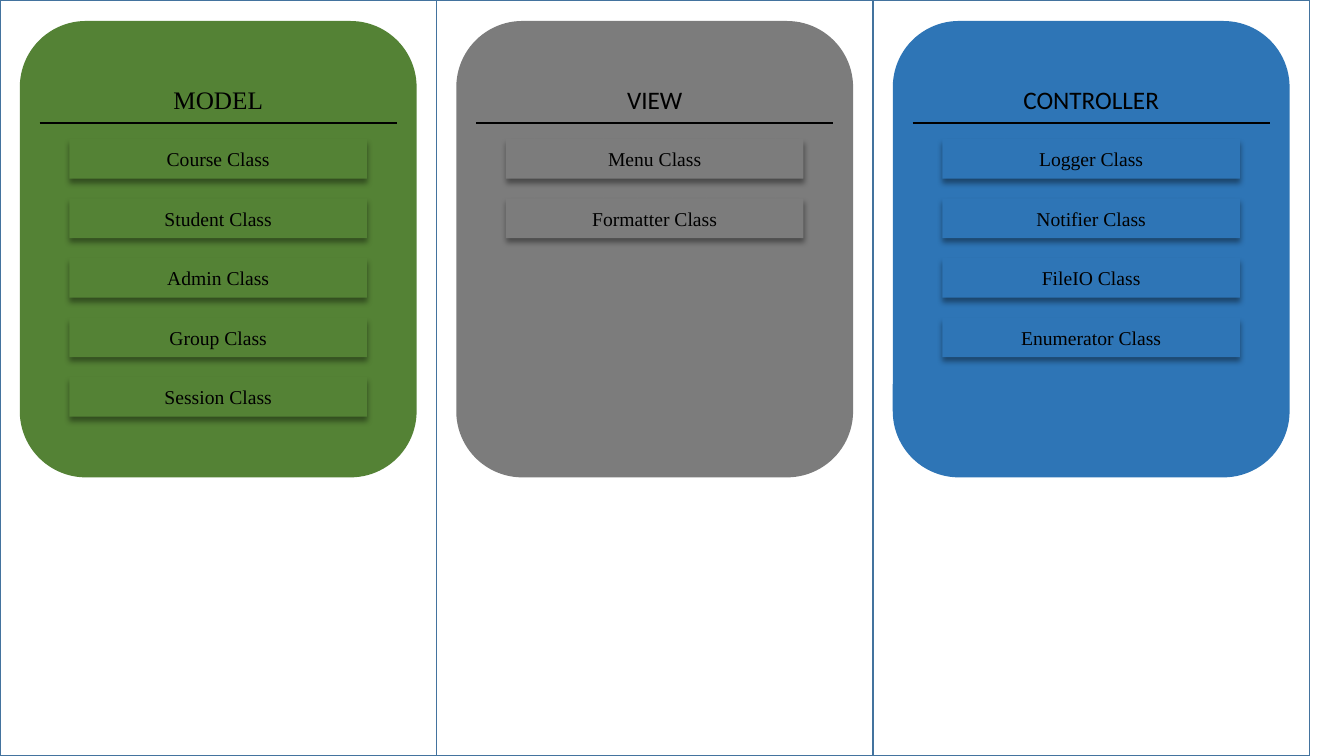
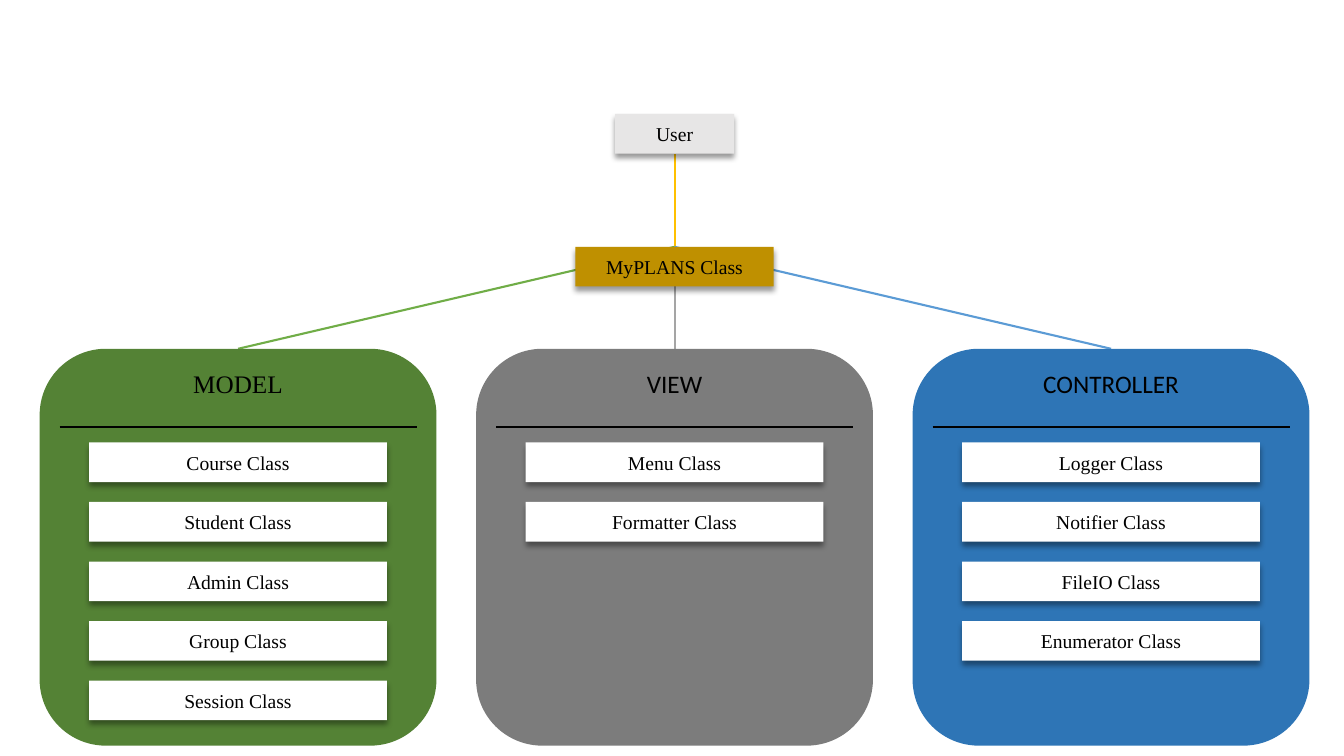
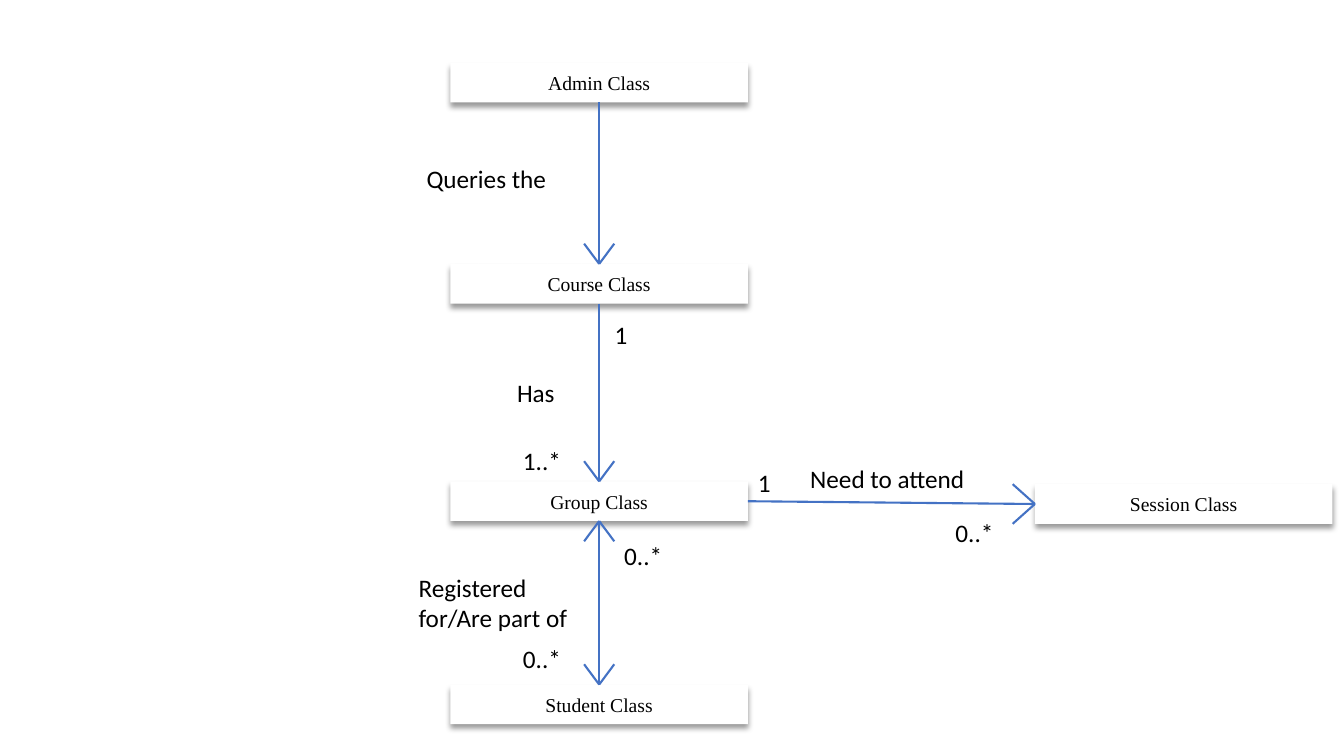
from pptx import Presentation
from pptx.dml.color import RGBColor
from pptx.enum.shapes import MSO_CONNECTOR as Link, MSO_SHAPE as Kind
from pptx.enum.text import MSO_ANCHOR as Anchor, MSO_AUTO_SIZE as Fit, PP_ALIGN as Align
from pptx.oxml.ns import qn
from pptx.util import Cm, Pt
from lxml.etree import SubElement

SERIF, SANS = "Times New Roman", "Calibri"
BLACK, WHITE, BLUE = "000000", "FFFFFF", "4472C4"
GREEN, GREY, NAVY = "548235", "7C7C7C", "2E75B6"
PITCH, TAG, HIGH, STEP = 11, 7.5, 1, 1.5
GROUPS = [
    ("MODEL", GREEN, SERIF, ["Course", "Student", "Admin", "Group", "Session"]),
    ("VIEW", GREY, SANS, ["Menu", "Formatter"]),
    ("CONTROLLER", NAVY, SANS, ["Logger", "Notifier", "FileIO", "Enumerator"]),
]


def tint(code):
    return RGBColor.from_string(code)


def put(item, values):
    for name, value in values.items():
        setattr(item, name, value)


class Deck:
    def __init__(self):
        self.show = Presentation()
        put(self.show, {"slide_width": Cm(33.87), "slide_height": Cm(19.05)})

    def page(self):
        self.slide = self.show.slides.add_slide(self.show.slide_layouts[6])

    def words(self, frame, text, size, font, align):
        put(frame, {"text": text, "word_wrap": True})
        para = frame.paragraphs[0]
        para.alignment = align
        face = para.runs[0].font
        put(face, {"size": Pt(size), "name": font})
        face.color.rgb = tint(BLACK)

    def shape(self, kind, x, y, w, h, fill=None, line=None):
        shape = self.slide.shapes.add_shape(kind, Cm(x), Cm(y), Cm(w), Cm(h))
        shape.shadow.inherit = False
        if fill:
            shape.fill.solid()
            shape.fill.fore_color.rgb = tint(fill)
        else:
            shape.fill.background()
        if line:
            shape.line.color.rgb = tint(line)
            shape.line.width = Pt(1)
        else:
            shape.line.fill.background()
        return shape

    def tag(self, text, x, y, w=TAG, fill=WHITE):
        shape = self.shape(Kind.RECTANGLE, x, y, w, HIGH, fill)
        shape.text_frame.vertical_anchor = Anchor.MIDDLE
        self.words(shape.text_frame, text, 14, SERIF, Align.CENTER)
        effect = shape._element.spPr.find(qn("a:effectLst"))
        shade = SubElement(effect, qn("a:outerShdw"), blurRad=str(Pt(4)),
                           dist=str(Pt(3)), dir="5400000", algn="t", rotWithShape="0")
        color = SubElement(shade, qn("a:srgbClr"), val=BLACK)
        SubElement(color, qn("a:alpha"), val="40000")

    def label(self, text, x, y, w, h=1.02, font=SANS, align=Align.LEFT):
        frame = self.slide.shapes.add_textbox(Cm(x), Cm(y), Cm(w), Cm(h)).text_frame
        self.words(frame, text, 18, font, align)
        frame.auto_size = Fit.SHAPE_TO_FIT_TEXT

    def line(self, x, y, to_x, to_y, color=BLUE):
        line = self.slide.shapes.add_connector(
            Link.STRAIGHT, Cm(x), Cm(y), Cm(to_x), Cm(to_y))
        line.line.color.rgb = tint(color)
        line.line.width = Pt(1.5)
        SubElement(line._element.spPr, qn("a:effectLst"))

    def head(self, x, y, across, along):
        for side in (-1, 1):
            if across:
                self.line(x, y, x - 0.56 * across, y + 0.5 * side)
            else:
                self.line(x, y, x + 0.38 * side, y - 0.51 * along)

    def cards(self, left, top, high, title, rule, plain):
        for i, (name, color, font, items) in enumerate(GROUPS):
            x = left + i * PITCH
            self.shape(Kind.ROUNDED_RECTANGLE, x, top, 10, high, color)
            self.label(name, x + 3, title, 4, 1, font, Align.CENTER)
            self.line(x + 0.5, rule, x + 9.5, rule, BLACK)
            for j, item in enumerate(items):
                self.tag(f"{item} Class", x + 1.25, rule + 0.4 + j * STEP,
                         fill=WHITE if plain else color)


deck = Deck()

deck.page()
for i in range(3):
    deck.shape(Kind.RECTANGLE, i * PITCH, 0, PITCH, 19.05, line="43739E")
deck.cards(0.5, 0.53, 11.5, 2, 3.1, False)

deck.page()
mid, hub, top = 17, 6.22, 8.79
deck.line(mid, hub, mid, 3.87, "FFC000")
for i, color in enumerate(["70AD47", "A5A5A5", "5B9BD5"]):
    deck.line(mid, hub, mid + (i - 1) * PITCH, top, color)
deck.cards(1, top, 10, 9.15, 10.75, True)
deck.tag("MyPLANS Class", mid - 2.5, hub, 5, "BF9000")
deck.tag("User", mid - 1.5, 2.87, 3, "E7E6E6")

deck.page()
left, mid = 11.35, 15.1
chain = [("Admin", 1.58), ("Course", 6.65), ("Group", 12.13), ("Student", 17.25)]
for name, y in chain:
    deck.tag(f"{name} Class", left, y)
for (name, y), (other, end) in zip(chain, chain[1:]):
    deck.line(mid, y + HIGH, mid, end)
    deck.head(mid, end, 0, 1)
deck.head(mid, 13.13, 0, -1)
deck.tag("Session Class", 26.08, 12.2)
deck.line(left + TAG, 12.63, 26.08, 12.7)
deck.head(26.08, 12.7, 1, 0)
for text, x, y, w in [
    ("Queries the", 10.5, 4, 4.57),
    ("Has", 12.78, 9.38, 1.95),
    ("Need to attend", 20.17, 11.56, 4.57),
    ("1", 15.24, 7.92, 0.94),
    ("1..*", 12.93, 11.1, 1.7),
    ("1", 18.85, 11.66, 1.7),
    ("0..*", 12.93, 16.08, 1.7),
    ("0..*", 15.48, 13.5, 1.7),
    ("0..*", 23.83, 12.9, 1.7),
]:
    deck.label(text, x, y, w)
deck.label("Registered for/Are part of", 10.3, 14.3, 4.6, 1.8)

deck.show.save("out.pptx")
